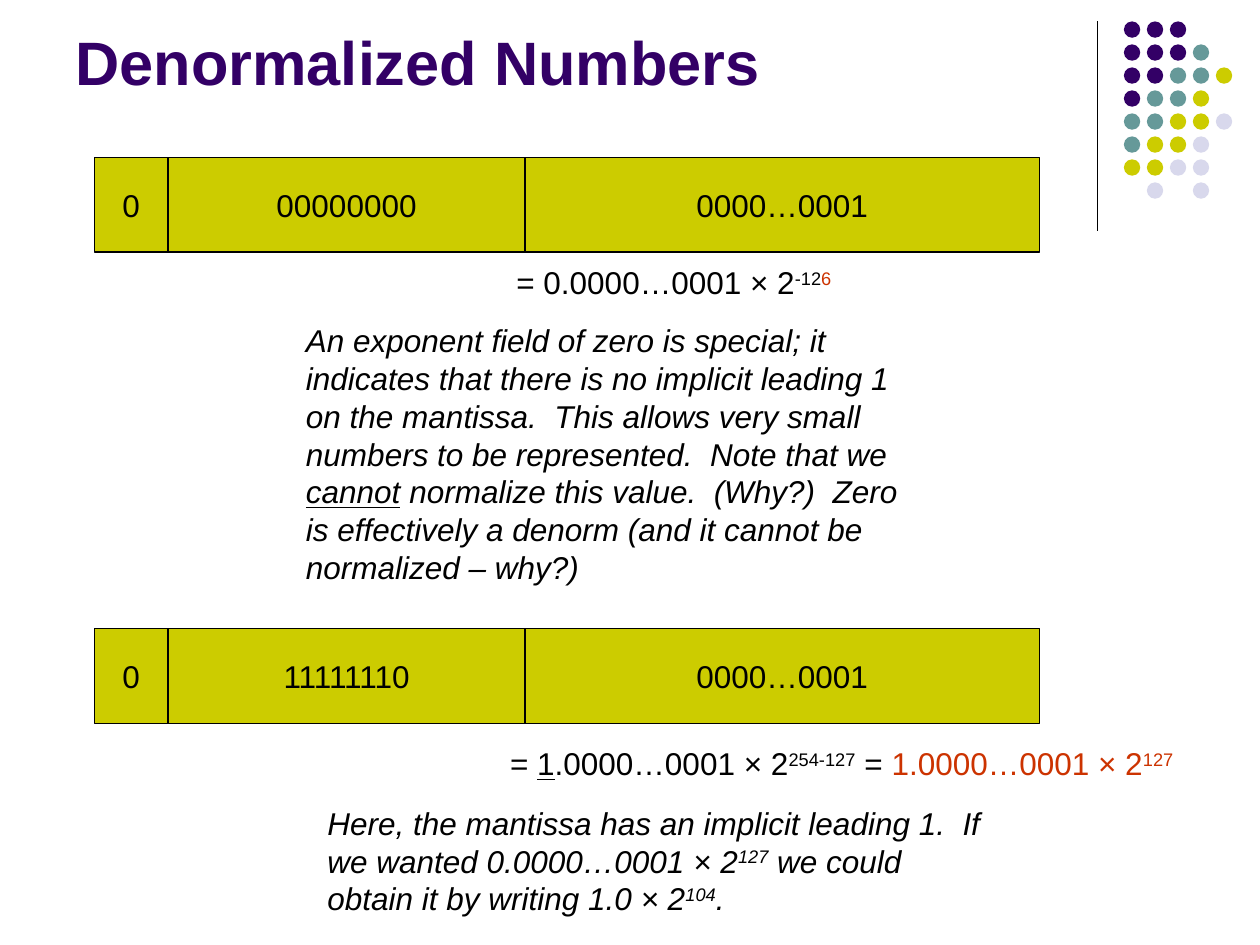
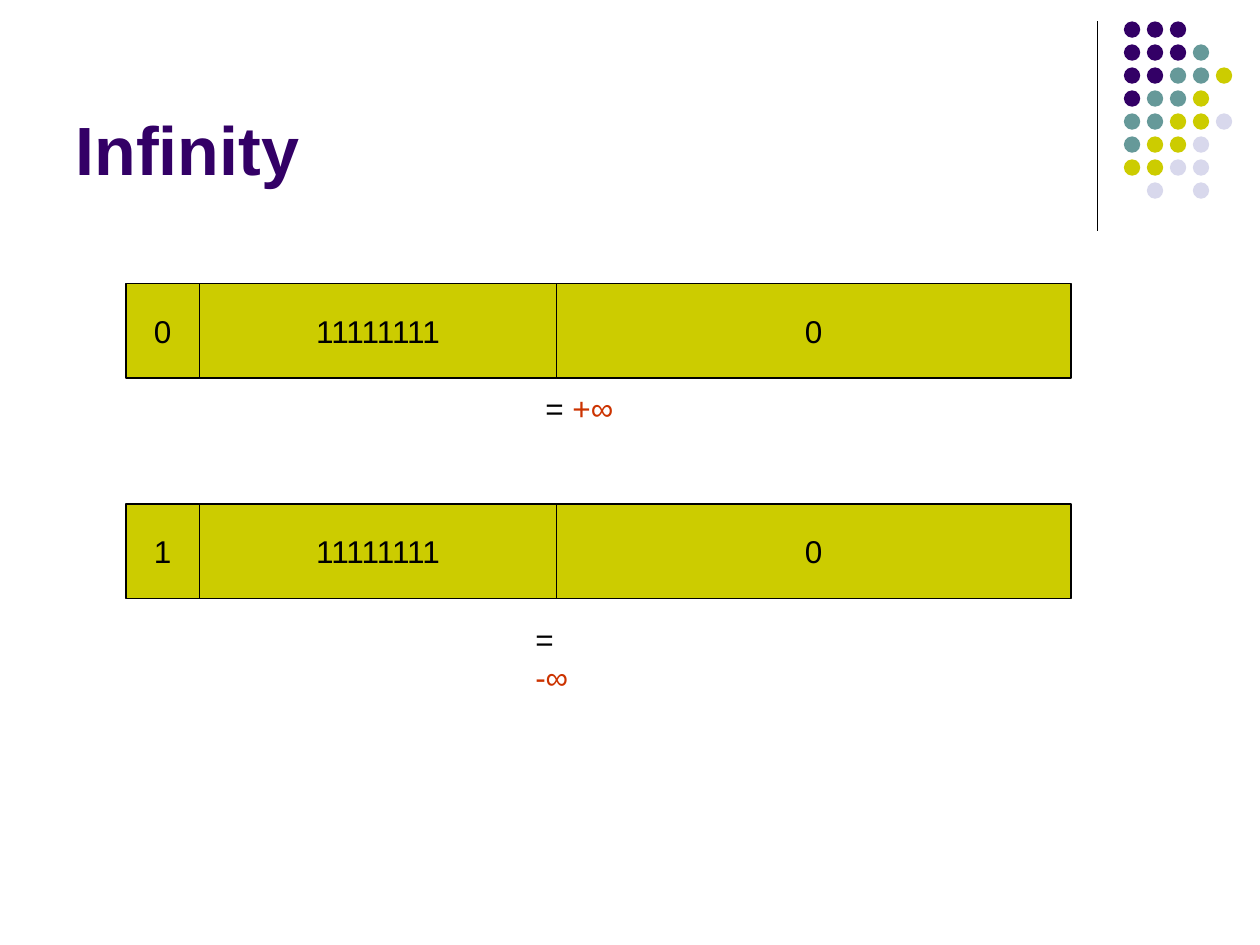
from dataclasses import dataclass
from typing import Any, NamedTuple

from lxml import etree
from pptx import Presentation
from pptx import util as u
from pptx.dml.color import RGBColor
from pptx.enum import shapes, text
from pptx.oxml import ns


@dataclass(frozen=True)
class Theme:
    font: str = "Arial"
    ink: str = "000000"
    mark: str = "CC3300"
    plum: str = "330066"
    teal: str = "669999"
    lime: str = "CCCC00"
    pale: str = "D8D8EC"
    body: int = 18
    edge: float = 0.75


class Bit(NamedTuple):
    text: str
    color: str = ""
    under: bool = False
    sup: bool = False
    slant: bool = True


class Row(NamedTuple):
    left: float
    top: float
    cells: tuple[str, str, str]


class Note(NamedTuple):
    left: float
    top: float
    width: float
    height: float
    bits: list[Bit]
    prose: bool = False


class Page(NamedTuple):
    title: str
    size: int
    height: float
    rows: list[Row]
    notes: list[Note]


THEME = Theme()
RED = THEME.mark
WIDTHS = (7 / 12, 34 / 12, 49 / 12)
ROW_H = 0.75
DOTS = ("PPP", "PPPT", "PPTTY", "PTTY", "TTYYL", "TYYL", "YYLL", " L L")
HUES = {"P": THEME.plum, "T": THEME.teal, "Y": THEME.lime, "L": THEME.pale}
DOT_X, DOT_Y, DOT_D = 8.92, 0.17, 0.13
PITCH = 0.73 / 4

PAGES = [
    Page(
        "Denormalized Numbers", 35, 0.7,
        [
            Row(0.75, 1.25, ("0", "00000000", "0000…0001")),
            Row(0.75, 4.99, ("0", "11111110", "0000…0001")),
        ],
        [
            Note(4, 2.04, 2.7, 0.4, [
                Bit("= 0.0000…0001 × 2"),
                Bit("-12", sup=True),
                Bit("6", RED, sup=True),
            ]),
            Note(3.95, 5.86, 5.53, 0.4, [
                Bit("= "),
                Bit("1", under=True),
                Bit(".0000…0001 × 2"),
                Bit("254-127", sup=True),
                Bit(" = "),
                Bit("1.0000…0001 × 2", RED),
                Bit("127", RED, sup=True),
            ]),
            Note(2.33, 2.5, 5.08, 2.2, [
                Bit("An exponent field of zero is special; it indicates that "
                    "there is no implicit leading 1 on the mantissa.  This "
                    "allows very small numbers to be represented.  Note that "
                    "we "),
                Bit("cannot", under=True),
                Bit(" ", slant=False),
                Bit("normalize this value.  (Why?)  Zero is effectively a "
                    "denorm (and it cannot be normalized – why?)"),
            ], prose=True),
            Note(2.5, 6.33, 5.5, 1, [
                Bit("Here, the mantissa has an implicit leading 1.  If we "
                    "wanted 0.0000…0001 × 2"),
                Bit("127", sup=True),
                Bit(" we could obtain it by writing 1.0 × 2"),
                Bit("104", sup=True),
                Bit("."),
            ], prose=True),
        ],
    ),
    Page(
        "Infinity", 39, 1.42,
        [
            Row(1, 2.25, ("0", "11111111", "0")),
            Row(1, 4, ("1", "11111111", "0")),
        ],
        [
            Note(4.23, 3.04, 0.74, 0.4, [Bit("= "), Bit("+∞", RED)]),
            Note(4.15, 4.87, 0.67, 0.4, [Bit("= "), Bit("-∞", RED)]),
        ],
    ),
]


def put(item: Any, vals: dict[str, Any]) -> None:
    for key, val in vals.items():
        setattr(item, key, val)


def style(font: Any, color: str, size: int, **more: Any) -> None:
    put(font, {"name": THEME.font, "size": u.Pt(size), **more})
    font.color.rgb = RGBColor.from_string(color)


def box(x: float, y: float, w: float, h: float) -> list[u.Length]:
    return [u.Inches(v) for v in (x, y, w, h)]


def shape(slide: Any, kind: Any, area: list[u.Length], fill: str) -> Any:
    item = slide.shapes.add_shape(kind, *area)
    item.shadow.inherit = False
    item.fill.solid()
    item.fill.fore_color.rgb = RGBColor.from_string(fill)
    return item


def edge(line: Any) -> None:
    line.color.rgb = RGBColor.from_string(THEME.ink)
    line.width = u.Pt(THEME.edge)


def decor(slide: Any) -> None:
    rule = slide.shapes.add_connector(
        shapes.MSO_CONNECTOR.STRAIGHT, *box(8.71, 0.17, 8.71, 1.83))
    edge(rule.line)
    etree.SubElement(rule._element.spPr, ns.qn("a:effectLst"))
    for j, line in enumerate(DOTS):
        for i, key in enumerate(line):
            if key in HUES:
                area = box(DOT_X + i * PITCH, DOT_Y + j * PITCH, DOT_D, DOT_D)
                dot = shape(slide, shapes.MSO_SHAPE.OVAL, area, HUES[key])
                dot.line.fill.background()


def head(slide: Any, page: Page) -> None:
    title = slide.shapes.title
    area = box(0.5, 0.13, 8.25, page.height)
    put(title, dict(zip(("left", "top", "width", "height"), area)))
    frame = title.text_frame
    put(frame, {
        "text": page.title,
        "word_wrap": True,
        "auto_size": text.MSO_AUTO_SIZE.NONE,
        "vertical_anchor": text.MSO_ANCHOR.BOTTOM,
    })
    para = frame.paragraphs[0]
    para.alignment = text.PP_ALIGN.LEFT
    style(para.runs[0].font, THEME.plum, page.size, bold=True)


def draw_row(slide: Any, row: Row) -> None:
    x = row.left
    for width, label in zip(WIDTHS, row.cells):
        area = box(x, row.top, width, ROW_H)
        cell = shape(slide, shapes.MSO_SHAPE.RECTANGLE, area, THEME.lime)
        edge(cell.line)
        put(cell.text_frame, {
            "text": label,
            "word_wrap": False,
            "vertical_anchor": text.MSO_ANCHOR.MIDDLE,
        })
        para = cell.text_frame.paragraphs[0]
        para.alignment = text.PP_ALIGN.CENTER
        style(para.runs[0].font, THEME.ink, THEME.body)
        x += width


def draw_note(slide: Any, note: Note) -> None:
    area = box(note.left, note.top, note.width, note.height)
    frame = slide.shapes.add_textbox(*area).text_frame
    put(frame, {
        "word_wrap": note.prose,
        "auto_size": text.MSO_AUTO_SIZE.SHAPE_TO_FIT_TEXT,
    })
    para = frame.paragraphs[0]
    for bit in note.bits:
        run = para.add_run()
        run.text = bit.text
        style(run.font, bit.color or THEME.ink, THEME.body,
              italic=note.prose and bit.slant, underline=bit.under)
        if bit.sup:
            run._r.get_or_add_rPr().set("baseline", "30000")


def main() -> None:
    deck = Presentation()
    put(deck, {"slide_width": u.Inches(10), "slide_height": u.Inches(7.5)})
    plain = deck.slide_layouts.get_by_name("Title Only")
    for page in PAGES:
        slide = deck.slides.add_slide(plain)
        decor(slide)
        head(slide, page)
        for row in page.rows:
            draw_row(slide, row)
        for note in page.notes:
            draw_note(slide, note)
    deck.save("out.pptx")


if __name__ == "__main__":
    main()
